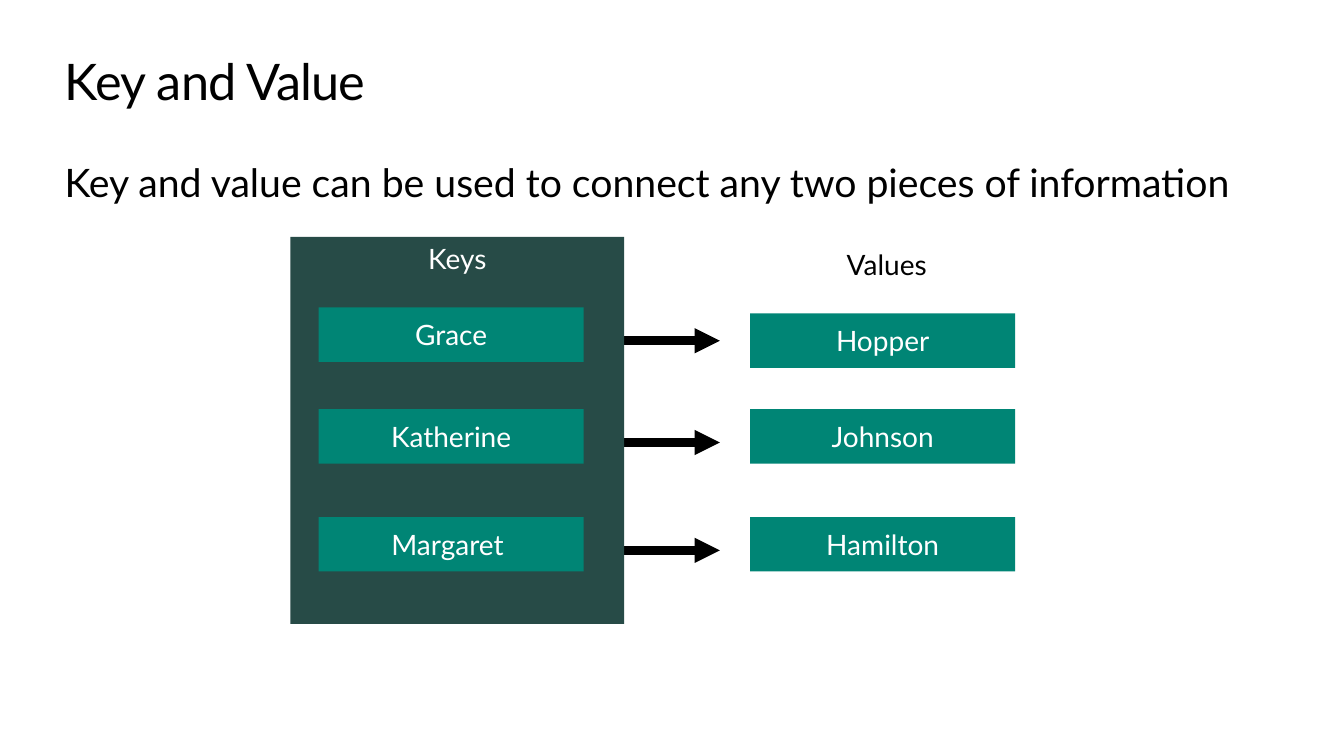
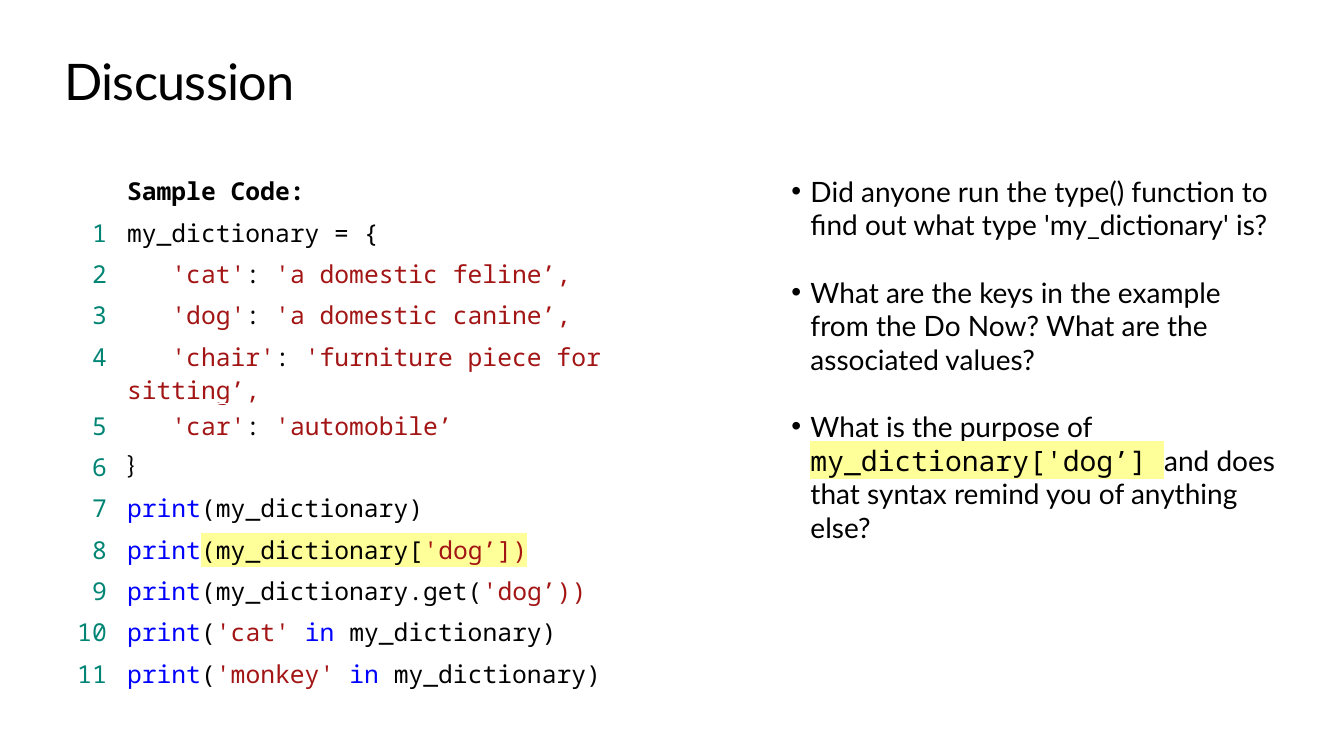
"""Build two slides on dictionaries: a key and value map, and a code talk."""
from typing import NamedTuple

from lxml import etree
from pptx import Presentation
from pptx.dml.color import RGBColor
from pptx.enum.shapes import MSO_CONNECTOR, MSO_SHAPE
from pptx.enum.text import MSO_ANCHOR, PP_ALIGN
from pptx.oxml.ns import qn
from pptx.util import Inches, Pt

RECT = MSO_SHAPE.RECTANGLE
LINE = MSO_CONNECTOR.STRAIGHT
TOP, MIDDLE = MSO_ANCHOR.TOP, MSO_ANCHOR.MIDDLE
LEFT, CENTER, RIGHT = PP_ALIGN.LEFT, PP_ALIGN.CENTER, PP_ALIGN.RIGHT

SANS, MONO = "Lato", "Noto Sans Mono"
COLORS = {
    "ink": "000000",
    "paper": "FFFFFF",
    "teal": "008575",
    "pine": "274B47",
    "string": "A31515",
    "word": "0000FF",
    "mark": "FFFF99",
}


class Part(NamedTuple):
    text: str
    tone: str = "ink"
    face: str = ""
    mark: bool = False


class Pair(NamedTuple):
    key: str
    value: str
    left_y: float
    right_y: float


class Box(NamedTuple):
    x: float
    y: float
    w: float
    h: float


PAIRS = [
    Pair("Grace", "Hopper", 3.05, 3.11),
    Pair("Katherine", "Johnson", 4.06, 4.06),
    Pair("Margaret ", "Hamilton", 5.13, 5.13),
]

PRINT = Part("print", "word")


def entry(key: str, value: str) -> list[Part]:
    """Give the parts of one dictionary entry."""
    return [Part(f"   {key}", "string"), Part(": "), Part(value, "string")]


def member(key: str) -> list[Part]:
    """Give the parts of one membership test."""
    return [PRINT, Part("("), Part(f"{key} ", "string"),
            Part("in ", "word"), Part("my_dictionary)")]


CODE = [
    [Part("my_dictionary = {")],
    entry("'cat'", "'a domestic feline’,"),
    entry("'dog'", "'a domestic canine’,"),
    entry("'chair'", "'furniture piece for sitting’,"),
    entry("'car'", "'automobile’"),
    [Part("}", face=SANS)],
    [PRINT, Part("(my_dictionary)")],
    [PRINT, Part("(my_dictionary[", mark=True), Part("'dog’])", "string", mark=True)],
    [PRINT, Part("(my_dictionary.get("), Part("'dog’))", "string")],
    member("'cat'"),
    member("'monkey'"),
]

POINTS = [
    [Part("Did anyone run the type() function to find out what type 'my_dictionary' is?")],
    [Part("What are the keys in the example from the Do Now? What are the associated values?")],
    [
        Part("What is the purpose of "),
        Part("my_dictionary['dog’] ", face=MONO, mark=True),
        Part("and does that syntax remind you of anything else?"),
    ],
]


def color(name: str) -> RGBColor:
    """Look up a named colour."""
    return RGBColor.from_string(COLORS[name])


def style(para, size: float, tone: str = "ink", face: str = SANS,
          align=LEFT, bold: bool = False) -> None:
    """Set the font and alignment of a paragraph."""
    para.alignment = align
    font = para.font
    font.name, font.size, font.bold = face, Pt(size), bold
    font.color.rgb = color(tone)


def fill_parts(para, parts: list[Part]) -> None:
    """Add runs that differ in colour, face or highlight."""
    for part in parts:
        run = para.add_run()
        run.text = part.text
        run.font.color.rgb = color(part.tone)
        if part.face:
            run.font.name = part.face
        if part.mark:
            mark = etree.Element(qn("a:highlight"))
            etree.SubElement(mark, qn("a:srgbClr"), val=COLORS["mark"])
            run._r.get_or_add_rPr().find(qn("a:solidFill")).addnext(mark)


def add_text(slide, box: Box, inset: bool = True):
    """Add a wrapping text box and return its frame."""
    frame = slide.shapes.add_textbox(*map(Inches, box)).text_frame
    frame.word_wrap = True
    if not inset:
        frame.margin_left = frame.margin_right = 0
        frame.margin_top = frame.margin_bottom = 0
    return frame


def add_line(slide, box: Box, text: str, size: float):
    """Add a single line flush with the left margin."""
    para = add_text(slide, box, inset=False).paragraphs[0]
    para.text = text
    style(para, size)
    return para


def add_title(slide, text: str) -> None:
    """Add the title that all slides share."""
    para = add_line(slide, Box(0.64, 0.5, 12.05, 0.61), text, 36)
    para.runs[0]._r.get_or_add_rPr().set("spc", "-50")


def add_block(slide, box: Box, text: str, tone: str, anchor=MIDDLE) -> None:
    """Add a filled rectangle with a white label."""
    shape = slide.shapes.add_shape(RECT, *map(Inches, box))
    shape.shadow.inherit = False
    shape.fill.solid()
    shape.fill.fore_color.rgb = color(tone)
    shape.line.fill.background()
    frame = shape.text_frame
    frame.word_wrap = True
    frame.vertical_anchor = anchor
    frame.paragraphs[0].text = text
    style(frame.paragraphs[0], 20, "paper", align=CENTER)


def add_arrow(slide, start: float, end: float, y: float) -> None:
    """Add a level arrow that points right."""
    arrow = slide.shapes.add_connector(
        LINE, Inches(start), Inches(y), Inches(end), Inches(y))
    arrow.line.width = Pt(6)
    arrow.line.color.rgb = color("ink")
    etree.SubElement(arrow.line._get_or_add_ln(), qn("a:tailEnd"), type="triangle")
    etree.SubElement(arrow._element.spPr, qn("a:effectLst"))


def add_code(slide) -> None:
    """Add the table of numbered code lines."""
    count = len(CODE) + 1
    box = Box(0.64, 1.68, 6.61, 0.41 * count)
    table = slide.shapes.add_table(count, 2, *map(Inches, box)).table
    table.first_row = table.horz_banding = False
    for column, width in zip(table.columns, (0.52, 6.09)):
        column.width = Inches(width)
    for cell in table.iter_cells():
        cell.fill.background()
    head = table.cell(0, 1).text_frame.paragraphs[0]
    head.text = "Sample Code:"
    style(head, 17.6, face=MONO, bold=True)
    for row, parts in enumerate(CODE, 1):
        number, code = (table.cell(row, col).text_frame.paragraphs[0] for col in (0, 1))
        number.text = str(row)
        style(number, 17.6, "teal", MONO, RIGHT)
        fill_parts(code, parts)
        style(code, 17.6, face=MONO)


def add_points(slide) -> None:
    """Add the bulleted questions."""
    frame = add_text(slide, Box(7.75, 1.68, 5.05, 3.8))
    for index, parts in enumerate(POINTS):
        para = frame.add_paragraph() if index else frame.paragraphs[0]
        props = para._p.get_or_add_pPr()
        props.set("marL", str(Inches(0.19)))
        props.set("indent", str(-Inches(0.19)))
        etree.SubElement(props, qn("a:buFont"), typeface="Arial")
        etree.SubElement(props, qn("a:buChar"), char="•")
        if index:
            para.space_before = Pt(24)
        fill_parts(para, parts)
        style(para, 20)


def draw_map(slide) -> None:
    """Draw the key and value slide."""
    add_title(slide, "Key and Value")
    add_line(slide, Box(0.64, 1.57, 12.05, 0.47),
             "Key and value can be used to connect any two pieces of information", 28)
    for pair in PAIRS:
        add_arrow(slide, 6.06, 7.14, pair.left_y + 0.33)
    label = add_text(slide, Box(7.14, 2.41, 3.31, 3.84)).paragraphs[0]
    label.text = "Values"
    style(label, 20, align=CENTER)
    add_block(slide, Box(2.88, 2.35, 3.31, 3.84), "Keys", "pine", TOP)
    for pair in PAIRS:
        add_block(slide, Box(3.16, pair.left_y, 2.63, 0.54), pair.key, "teal")
        add_block(slide, Box(7.44, pair.right_y, 2.63, 0.54), pair.value, "teal")


def draw_talk(slide) -> None:
    """Draw the discussion slide."""
    add_title(slide, "Discussion")
    add_code(slide)
    add_points(slide)


def main() -> None:
    """Build and save the deck."""
    deck = Presentation()
    deck.slide_width, deck.slide_height = Inches(13.33), Inches(7.5)
    for draw in (draw_map, draw_talk):
        draw(deck.slides.add_slide(deck.slide_layouts[6]))
    deck.save("out.pptx")


if __name__ == "__main__":
    main()
